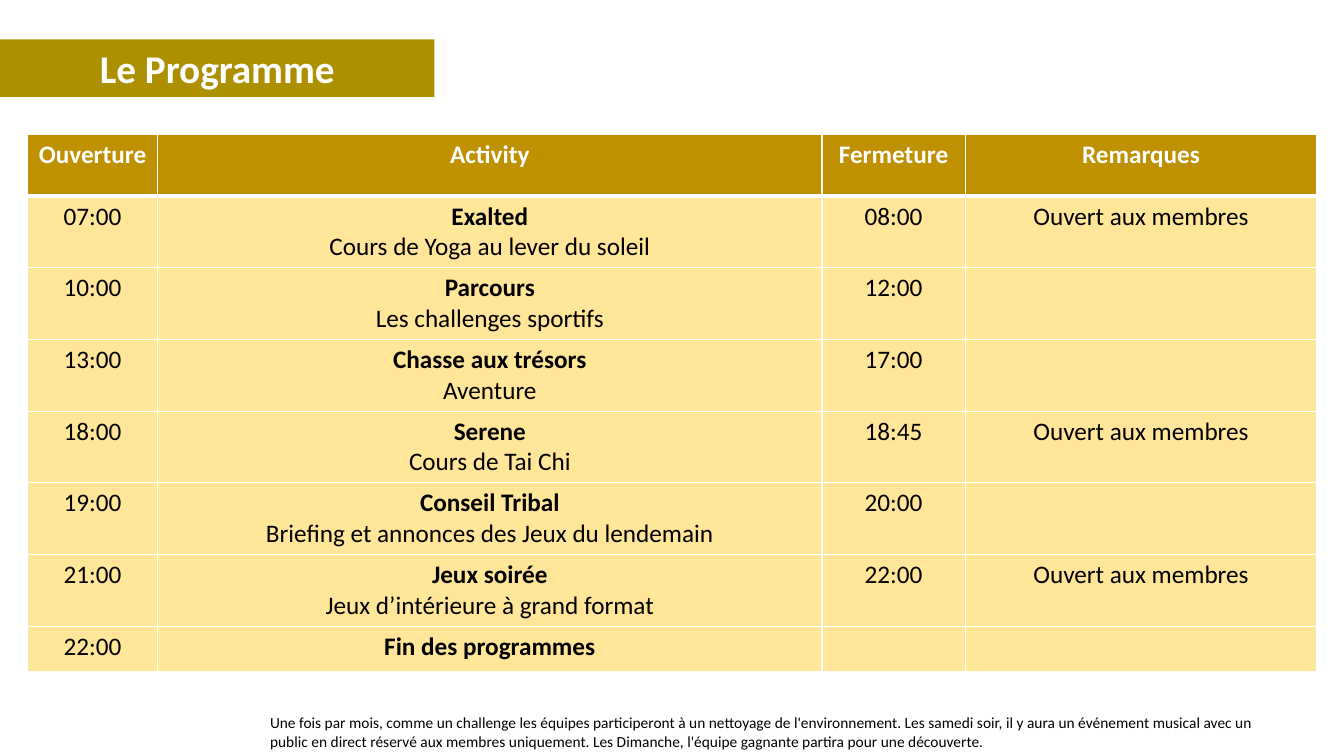
from dataclasses import dataclass

from lxml.etree import SubElement
from pptx import Presentation
from pptx.dml.color import RGBColor
from pptx.enum.text import MSO_ANCHOR as Anchor, PP_ALIGN as Align
from pptx.oxml.ns import qn
from pptx.util import Inches, Pt


@dataclass(frozen=True)
class Theme:
    font: str = "Calibri"
    banner: str = "AC9000"
    header: str = "BF9000"
    body: str = "FFE699"
    white: str = "FFFFFF"
    black: str = "000000"
    title_size: int = 28
    table_size: int = 18
    note_size: int = 11
    thin: int = 1
    thick: int = 3


class SlideBuilder:
    """Places elements on one slide; lengths are percentages of its size."""

    def __init__(self, prs, theme):
        self.prs, self.theme = prs, theme
        self.s = prs.slides.add_slide(prs.slide_layouts[5])

    def x(self, share):
        return int(self.prs.slide_width * share / 100)

    def y(self, share):
        return int(self.prs.slide_height * share / 100)

    def box(self, left, top, width, height):
        return self.x(left), self.y(top), self.x(width), self.y(height)

    def style(self, p, size, color, bold=False, align=Align.CENTER):
        p.alignment = align
        p.font.name, p.font.size, p.font.bold = self.theme.font, Pt(size), bold
        p.font.color.rgb = RGBColor.from_string(color)

    def title(self, text, *at):
        sp = self.s.shapes.title
        sp.left, sp.top, sp.width, sp.height = self.box(*at)
        sp.fill.solid()
        sp.fill.fore_color.rgb = RGBColor.from_string(self.theme.banner)
        tf = sp.text_frame
        tf.text, tf.vertical_anchor = text, Anchor.MIDDLE
        p = tf.paragraphs[0]
        p.line_spacing = 1.0
        self.style(p, self.theme.title_size, self.theme.white, True)

    def note(self, text, *at):
        tf = self.s.shapes.add_textbox(*self.box(*at)).text_frame
        tf.word_wrap, tf.text = True, text
        self.style(tf.paragraphs[0], self.theme.note_size, self.theme.black,
                   align=Align.LEFT)

    def borders(self, cell, top, bottom):
        tc_pr = cell._tc.get_or_add_tcPr()
        thin = self.theme.thin
        for side, width in zip("LRTB", (thin, thin, top, bottom)):
            ln = SubElement(tc_pr, qn(f"a:ln{side}"), w=str(Pt(width)))
            fill = SubElement(ln, qn("a:solidFill"))
            SubElement(fill, qn("a:srgbClr"), val=self.theme.white)

    def cell(self, cell, text, row, bold_first):
        t = self.theme
        is_header = row == 0
        self.borders(cell, t.thick if row == 1 else t.thin,
                     t.thick if is_header else t.thin)
        cell.fill.solid()
        cell.fill.fore_color.rgb = RGBColor.from_string(
            t.header if is_header else t.body)
        cell.text = text
        for i, p in enumerate(cell.text_frame.paragraphs):
            self.style(p, t.table_size, t.white if is_header else t.black,
                       is_header or (bold_first and i == 0))

    def table(self, rows, left, top, widths, heights, bold_column):
        at = self.box(left, top, sum(widths), sum(heights))
        table = self.s.shapes.add_table(len(rows), len(widths), *at).table
        table.horz_banding = False
        for column, width in zip(table.columns, widths):
            column.width = self.x(width)
        for r, (values, height) in enumerate(zip(rows, heights)):
            table.rows[r].height = self.y(height)
            for c, text in enumerate(values):
                self.cell(table.cell(r, c), text, r, c == bold_column)


MEMBERS = "Ouvert aux membres"
PROGRAMME = [
    ("Ouverture", "Activity", "Fermeture", "Remarques"),
    ("07:00", "Exalted\nCours de Yoga au lever du soleil", "08:00", MEMBERS),
    ("10:00", "Parcours\nLes challenges sportifs", "12:00", ""),
    ("13:00", "Chasse aux trésors\nAventure", "17:00", ""),
    ("18:00", "Serene\nCours de Tai Chi", "18:45", MEMBERS),
    ("19:00", "Conseil Tribal\nBriefing et annonces des Jeux du lendemain",
     "20:00", ""),
    ("21:00", "Jeux soirée\nJeux d’intérieure à grand format", "22:00", MEMBERS),
    ("22:00", "Fin des programmes", "", ""),
]
NOTE = (
    "Une fois par mois, comme un challenge les équipes participeront à un "
    "nettoyage de l'environnement. Les samedi soir, il y aura un événement "
    "musical avec un public en direct réservé aux membres uniquement. Les "
    "Dimanche, l'équipe gagnante partira pour une découverte."
)


def main():
    prs = Presentation()
    prs.slide_width, prs.slide_height = Inches(13.33), Inches(7.5)
    slide = SlideBuilder(prs, Theme())

    # Title banner
    slide.title("Le Programme", 0, 5.2, 32.33, 7.6)

    # Daily programme
    heights = [8.13] + [9.49] * 6 + [5.95]
    slide.table(PROGRAMME, 2.05, 17.8, [9.68, 49.44, 10.65, 26.18], heights,
                bold_column=1)

    # Footnote
    slide.note(NOTE, 19.35, 93.73, 75.4, 6.2)

    prs.save("out.pptx")


if __name__ == "__main__":
    main()
